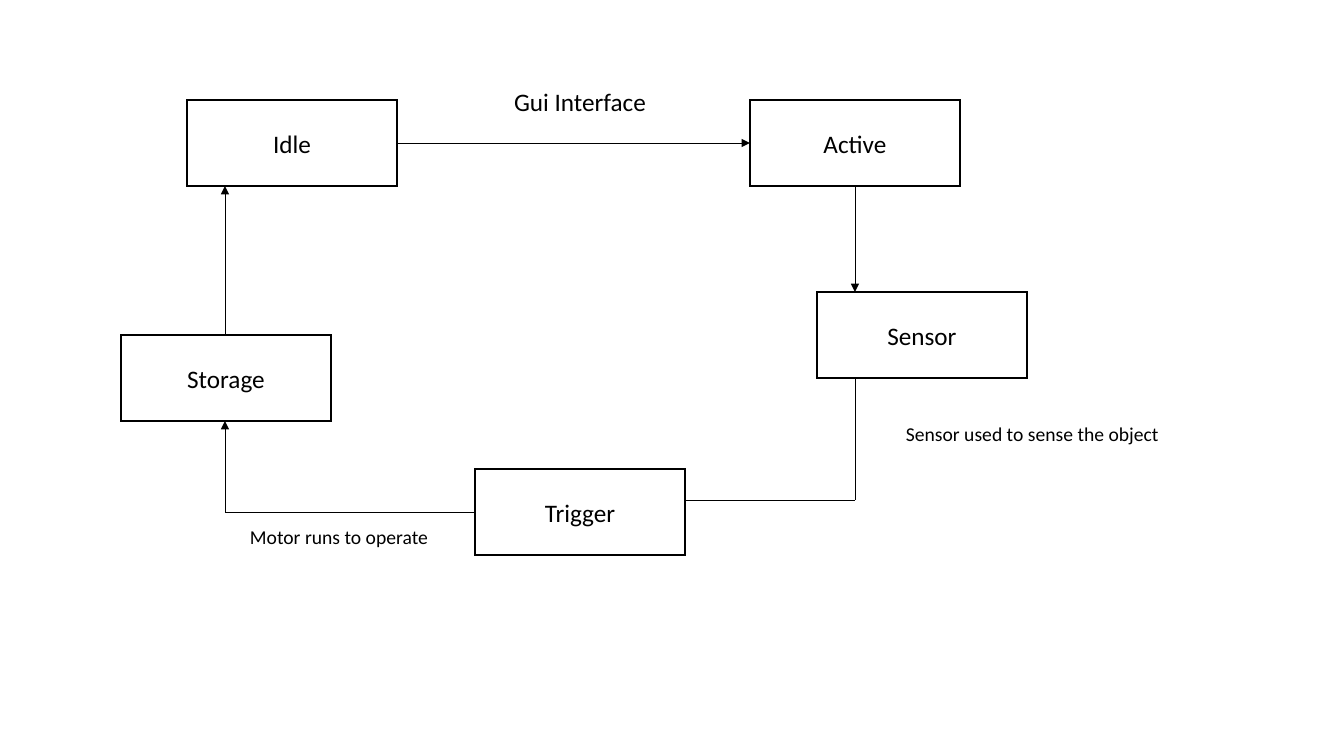
"""Draw the state diagram of a sensor-driven storage machine."""
from dataclasses import dataclass

import lxml.etree
import pptx
import pptx.dml.color
import pptx.enum.shapes
import pptx.enum.text
import pptx.oxml.ns
import pptx.util

EMU_PER_PIXEL = 914400 / 100.8
BLACK, WHITE = "000000", "FFFFFF"
STATE_WIDTH, STATE_HEIGHT = 210, 86
CENTER = pptx.enum.text.PP_ALIGN.CENTER
LEFT = pptx.enum.text.PP_ALIGN.LEFT


@dataclass
class State:
    name: str
    left: int
    top: int

    @property
    def right(self) -> int:
        return self.left + STATE_WIDTH

    @property
    def bottom(self) -> int:
        return self.top + STATE_HEIGHT

    @property
    def center_x(self) -> int:
        return self.left + STATE_WIDTH // 2

    @property
    def center_y(self) -> int:
        return self.top + STATE_HEIGHT // 2


@dataclass
class Label:
    text: str
    left: int
    top: int
    width: int
    height: int
    size: int
    alignment: pptx.enum.text.PP_ALIGN


@dataclass
class Line:
    start: tuple[int, int]
    end: tuple[int, int]
    arrow: bool = False


def px(pixels: int) -> pptx.util.Emu:
    return pptx.util.Emu(round(pixels * EMU_PER_PIXEL))


def color(value: str) -> pptx.dml.color.RGBColor:
    return pptx.dml.color.RGBColor.from_string(value)


def add_element(parent, tag: str, **attributes: str) -> None:
    lxml.etree.SubElement(parent, pptx.oxml.ns.qn(tag), **attributes)


def write(shape, text: str, size: int, alignment) -> None:
    paragraph = shape.text_frame.paragraphs[0]
    paragraph.alignment = alignment
    run = paragraph.add_run()
    run.text = text
    run.font.name = "Calibri"
    run.font.size = pptx.util.Pt(size)
    run.font.color.rgb = color(BLACK)


def draw_state(slide, state: State) -> None:
    shape = slide.shapes.add_shape(
        pptx.enum.shapes.MSO_SHAPE.RECTANGLE,
        px(state.left), px(state.top), px(STATE_WIDTH), px(STATE_HEIGHT))
    shape.shadow.inherit = False
    shape.fill.solid()
    shape.fill.fore_color.rgb = color(WHITE)
    shape.line.color.rgb = color(BLACK)
    shape.line.width = pptx.util.Pt(1)
    add_element(shape.line._get_or_add_ln(), "a:miter", lim="800000")
    shape.text_frame.vertical_anchor = pptx.enum.text.MSO_ANCHOR.MIDDLE
    write(shape, state.name, 18, CENTER)


def draw_label(slide, label: Label) -> None:
    box = slide.shapes.add_textbox(
        px(label.left), px(label.top), px(label.width), px(label.height))
    box.text_frame.word_wrap = False
    box.text_frame.auto_size = pptx.enum.text.MSO_AUTO_SIZE.SHAPE_TO_FIT_TEXT
    write(box, label.text, label.size, label.alignment)


def draw_line(slide, line: Line) -> None:
    connector = slide.shapes.add_connector(
        pptx.enum.shapes.MSO_CONNECTOR.STRAIGHT,
        *map(px, line.start), *map(px, line.end))
    connector.line.color.rgb = color(BLACK)
    connector.line.width = pptx.util.Pt(0.5)
    if line.arrow:
        add_element(connector.line._get_or_add_ln(), "a:tailEnd", type="triangle")
    add_element(connector._element.spPr, "a:effectLst")


idle = State("Idle", 187, 100)
active = State("Active", 750, 100)
sensor = State("Sensor", 817, 292)
trigger = State("Trigger", 475, 469)
storage = State("Storage", 121, 335)
states = [idle, active, sensor, trigger, storage]

outward_x, return_x = active.center_x, storage.center_x - 1
sensor_turn = (outward_x, 500)
storage_turn = (return_x, trigger.center_y)
lines = [
    Line((idle.right, idle.center_y), (active.left, active.center_y), True),
    Line((outward_x, active.bottom), (outward_x, sensor.top), True),
    Line((outward_x, sensor.bottom), sensor_turn),
    Line(sensor_turn, (trigger.right, 500)),
    Line((trigger.left, trigger.center_y), storage_turn),
    Line(storage_turn, (return_x, storage.bottom), True),
    Line((return_x, storage.top), (return_x, idle.bottom), True),
]
labels = [
    Label("Gui Interface", 503, 81, 154, 40, 18, CENTER),
    Label("Sensor used to sense the object", 896, 417, 275, 34, 14, LEFT),
    Label("Motor runs to operate", 240, 520, 201, 34, 14, LEFT),
]

presentation = pptx.Presentation()
presentation.slide_width = px(1344)
presentation.slide_height = px(756)
slide = presentation.slides.add_slide(presentation.slide_layouts[6])
for state in states:
    draw_state(slide, state)
for line in lines:
    draw_line(slide, line)
for label in labels:
    draw_label(slide, label)
presentation.save("out.pptx")
